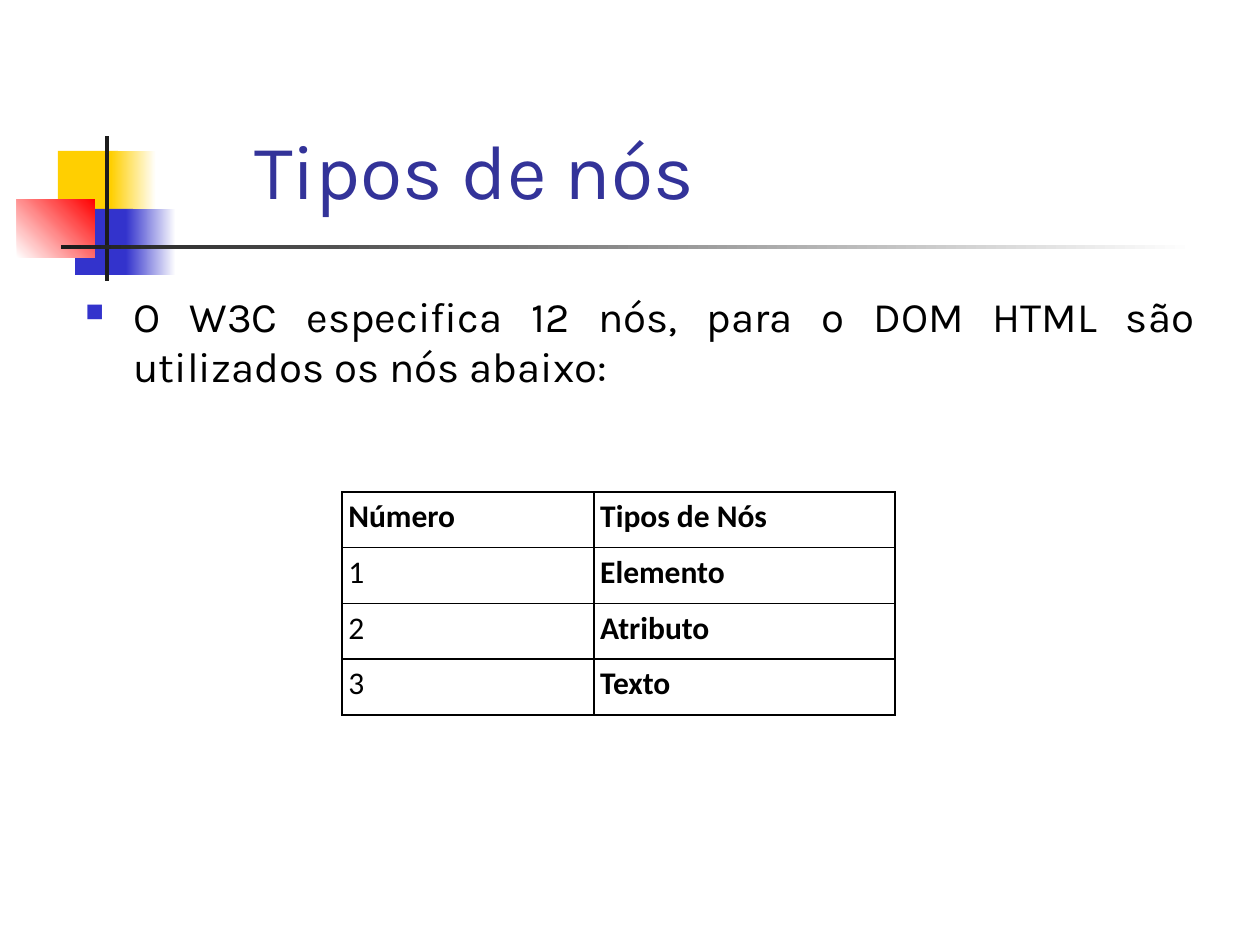
from lxml import etree
from pptx import Presentation
from pptx import util as u
from pptx.dml.color import RGBColor
from pptx.enum import shapes, text
from pptx.oxml import ns

PIXEL = 914400 // 126
YELLOW = RGBColor(0xFF, 0xCF, 0x01)
BLUE = RGBColor(0x33, 0x33, 0xCC)
RED = RGBColor(0xFF, 0, 0)
DARK = RGBColor(0x1C, 0x1C, 0x1C)
NAVY = RGBColor(0x33, 0x33, 0x99)
BLACK = RGBColor(0, 0, 0)
WHITE = RGBColor(0xFF, 0xFF, 0xFF)


def box(*pixels):
    return [u.Emu(pixel * PIXEL) for pixel in pixels]


def write(frame, words, color, paragraph_format, font_format):
    paragraph = frame.paragraphs[0]
    for name, value in paragraph_format.items():
        setattr(paragraph, name, value)
    run = paragraph.add_run()
    run.text = words
    for name, value in font_format.items():
        setattr(run.font, name, value)
    run.font.color.rgb = color
    return paragraph


presentation = Presentation()
presentation.slide_width, presentation.slide_height = box(1260, 945)
slide = presentation.slides.add_slide(presentation.slide_layouts[6])

# Decorative squares and rules: place, start colour, end colour, angle
decorations = [
    ((58, 151, 60, 66), YELLOW, None, 0),
    ((111, 151, 45, 66), YELLOW, WHITE, 0),
    ((75, 209, 58, 66), BLUE, None, 0),
    ((126, 209, 50, 66), BLUE, WHITE, 0),
    ((17, 199, 78, 59), WHITE, RED, 45),
    ((105, 136, 4, 145), DARK, None, 0),
    ((61, 245, 1134, 4), DARK, WHITE, 0),
]
for place, start, end, angle in decorations:
    shape = slide.shapes.add_shape(shapes.MSO_SHAPE.RECTANGLE, *box(*place))
    shape.shadow.inherit = False
    shape.line.fill.background()
    if end is None:
        shape.fill.solid()
        shape.fill.fore_color.rgb = start
    else:
        shape.fill.gradient()
        shape.fill.gradient_angle = angle
        for stop, color in zip(shape.fill.gradient_stops, (start, end)):
            stop.color.rgb = color

# Title
title = slide.shapes.add_textbox(*box(242, 63, 987, 158)).text_frame
title.word_wrap = True
title.vertical_anchor = text.MSO_ANCHOR.BOTTOM
write(title, "Tipos de nós", NAVY, {}, {"name": "Karla", "size": u.Pt(44)})

# Bulleted body
body = slide.shapes.add_textbox(*box(73, 284, 1134, 645)).text_frame
body.word_wrap = True
paragraph = write(
    body, "O W3C especifica 12 nós, para o DOM HTML são utilizados os nós abaixo:", BLACK,
    {"alignment": text.PP_ALIGN.JUSTIFY, "space_before": u.Pt(4.8)},
    {"name": "Karla", "size": u.Pt(24)})
properties = paragraph._p.get_or_add_pPr()
properties.set("marL", str(48 * PIXEL))
properties.set("indent", str(-48 * PIXEL))
bullet_color = etree.SubElement(properties, ns.qn("a:buClr"))
etree.SubElement(bullet_color, ns.qn("a:srgbClr"), val=str(BLUE))
etree.SubElement(properties, ns.qn("a:buSzPct"), val="60000")
etree.SubElement(properties, ns.qn("a:buChar"), char="■")

# Table of node types
rows = [("Número", "Tipos de Nós"), ("1", "Elemento"), ("2", "Atributo"), ("3", "Texto")]
table = slide.shapes.add_table(len(rows), 2, *box(342, 492, 553, 223)).table
for column, width in zip(table.columns, box(252, 301)):
    column.width = width
cell_format = {"margin_left": u.Inches(0.05), "margin_right": u.Inches(0.05),
               "margin_top": 0, "margin_bottom": 0}
for row_index, row in enumerate(rows):
    for column_index, words in enumerate(row):
        cell = table.cell(row_index, column_index)
        for name, value in cell_format.items():
            setattr(cell, name, value)
        write(cell.text_frame, words, BLACK,
              {"line_spacing": 1.15, "space_after": u.Pt(10)},
              {"name": "Calibri", "size": u.Pt(18),
               "bold": row_index == 0 or column_index == 1})
        cell_properties = cell._tc.get_or_add_tcPr()
        for side in ("a:lnL", "a:lnR", "a:lnT", "a:lnB"):
            border = etree.SubElement(cell_properties, ns.qn(side), w=str(u.Pt(1)))
            fill = etree.SubElement(border, ns.qn("a:solidFill"))
            etree.SubElement(fill, ns.qn("a:srgbClr"), val=str(BLACK))
        cell.fill.background()

presentation.save("out.pptx")
